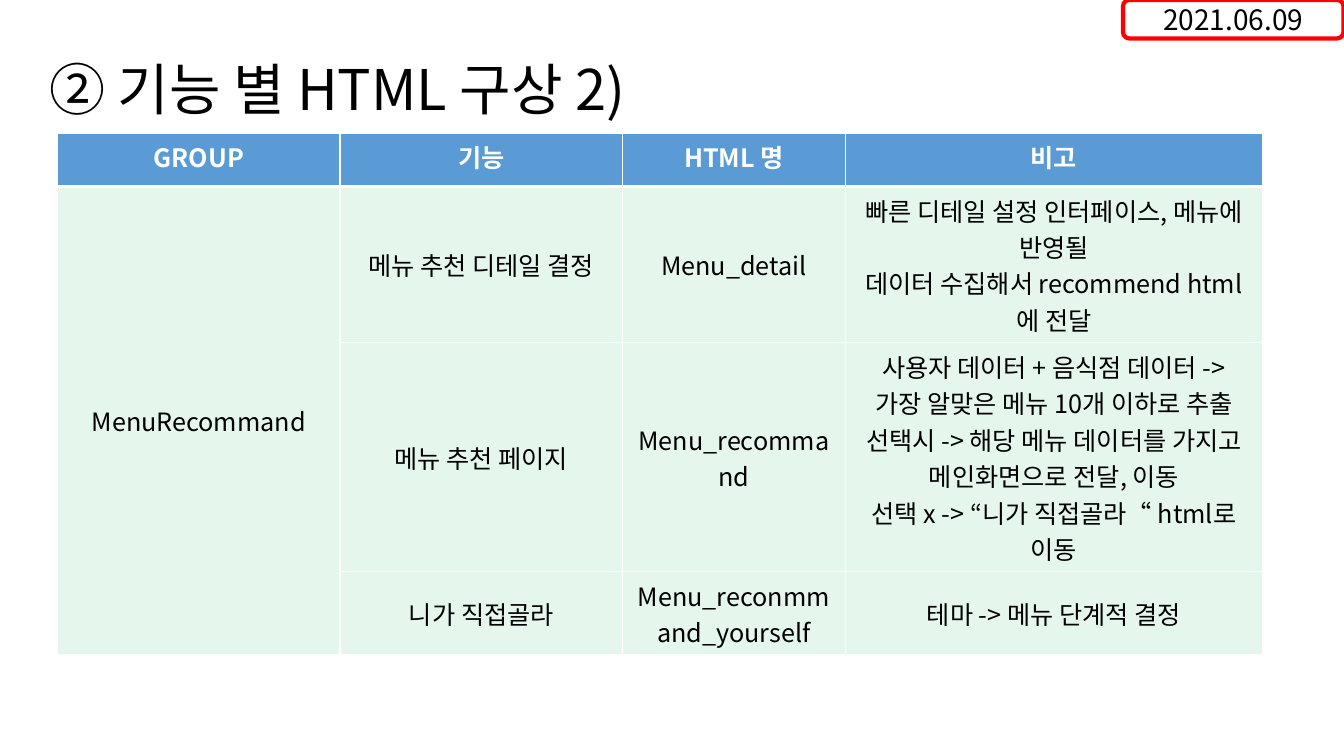
from lxml import etree
from pptx import Presentation
from pptx.dml.color import RGBColor
from pptx.enum.shapes import MSO_SHAPE
from pptx.enum.text import MSO_ANCHOR, PP_ALIGN
from pptx.oxml.ns import qn
from pptx.util import Cm, Pt

ROUNDED = MSO_SHAPE.ROUNDED_RECTANGLE
LEFT, CENTER = PP_ALIGN.LEFT, PP_ALIGN.CENTER
TOP, MIDDLE, BOTTOM = MSO_ANCHOR.TOP, MSO_ANCHOR.MIDDLE, MSO_ANCHOR.BOTTOM
TITLE_ONLY = 5

COLUMN_WIDTHS = [7.12, 7.12, 5.61, 10.52]
ROW_HEIGHTS = [1.35, 3.94, 5.77, 2.08]
HEADERS = ["GROUP", "기능", "HTML 명", "비고"]
GROUP = "MenuRecommand"
FEATURES = [
    ["메뉴 추천 디테일 결정", "Menu_detail",
     "빠른 디테일 설정 인터페이스, 메뉴에 반영될\n"
     "데이터 수집해서 recommend html에 전달"],
    ["메뉴 추천 페이지", "Menu_recommand",
     "사용자 데이터 + 음식점 데이터 ->\n"
     "가장 알맞은 메뉴 10개 이하로 추출\n"
     "선택시 -> 해당 메뉴 데이터를 가지고 메인화면으로 전달, 이동\n"
     "선택 x -> “니가 직접골라“ html로 이동"],
    ["니가 직접골라", "Menu_reconmmand_yourself", "테마 -> 메뉴 단계적 결정"],
]


def color(value):
    return RGBColor.from_string(value)


class SlideBuilder:
    font_name = "Noto Sans CJK KR"
    black, white, red = "000000", "FFFFFF", "FF0000"
    header_fill, body_fill, body_opacity = "5B9BD5", "00B050", 10

    def __init__(self, slide):
        self.slide = slide

    def set_text(self, frame, text, size, text_color, align=CENTER, bold=False, spacing=1.0):
        frame.text = text
        for paragraph in frame.paragraphs:
            paragraph.alignment = align
            paragraph.line_spacing = spacing
            for run in paragraph.runs:
                formats = {"name": self.font_name, "size": Pt(size), "bold": bold}
                for name, value in formats.items():
                    setattr(run.font, name, value)
                run.font.color.rgb = color(text_color)
                east_asian = etree.Element(qn("a:ea"), typeface=self.font_name)
                run.font._element.find(qn("a:latin")).addnext(east_asian)

    def title(self, text, left, top, width, height):
        shape = self.slide.shapes.title
        place = {"left": left, "top": top, "width": width, "height": height}
        for name, value in place.items():
            setattr(shape, name, Cm(value))
        shape.text_frame.vertical_anchor = BOTTOM
        self.set_text(shape.text_frame, text, 40, self.black, LEFT, spacing=0.9)

    def date_box(self, text, left, top, width, height):
        shape = self.slide.shapes.add_shape(ROUNDED, Cm(left), Cm(top), Cm(width), Cm(height))
        shape.shadow.inherit = False
        shape.fill.background()
        shape.line.color.rgb = color(self.red)
        shape.line.width = Pt(3)
        shape.text_frame.vertical_anchor = MIDDLE
        self.set_text(shape.text_frame, text, 20, self.black)

    def borders(self, cell, bottom_width):
        """Draw white lines on all four sides of a cell."""
        properties = cell._tc.get_or_add_tcPr()
        widths = {"L": 1, "R": 1, "T": 1, "B": bottom_width}
        for index, (side, width) in enumerate(widths.items()):
            line = etree.Element(qn(f"a:ln{side}"), w=str(Pt(width)))
            fill = etree.SubElement(line, qn("a:solidFill"))
            etree.SubElement(fill, qn("a:srgbClr"), val=self.white)
            properties.insert(index, line)

    def cell(self, cell, text, header):
        cell.vertical_anchor = TOP if header else MIDDLE
        cell.fill.solid()
        cell.fill.fore_color.rgb = color(self.header_fill if header else self.body_fill)
        if not header:
            fill_color = cell._tc.tcPr.find(qn("a:solidFill")).find(qn("a:srgbClr"))
            etree.SubElement(fill_color, qn("a:alpha"), val=str(self.body_opacity * 1000))
        self.borders(cell, 3 if header else 1)
        self.set_text(cell.text_frame, text, 18, self.white if header else self.black, bold=header)

    def feature_table(self, left, top):
        rows = [HEADERS] + [[GROUP if index == 0 else "", *feature]
                            for index, feature in enumerate(FEATURES)]
        table = self.slide.shapes.add_table(
            len(rows), len(HEADERS), Cm(left), Cm(top),
            Cm(sum(COLUMN_WIDTHS)), Cm(sum(ROW_HEIGHTS))).table
        table.horz_banding = False
        for column, width in zip(table.columns, COLUMN_WIDTHS):
            column.width = Cm(width)
        for row, height in zip(table.rows, ROW_HEIGHTS):
            row.height = Cm(height)
        for row_index, texts in enumerate(rows):
            for column_index, text in enumerate(texts):
                self.cell(table.cell(row_index, column_index), text, row_index == 0)
        table.cell(1, 0).merge(table.cell(len(FEATURES), 0))


def main():
    presentation = Presentation()
    presentation.slide_width, presentation.slide_height = Cm(33.87), Cm(19.05)
    slide = presentation.slides.add_slide(presentation.slide_layouts[TITLE_ONLY])
    builder = SlideBuilder(slide)
    builder.title("② 기능 별 HTML 구상 2)", 0.99, 1.42, 24.26, 1.8)
    builder.date_box("2021.06.09", 28.3, 0, 5.56, 0.97)
    builder.feature_table(1.45, 3.35)
    presentation.save("out.pptx")


if __name__ == "__main__":
    main()
